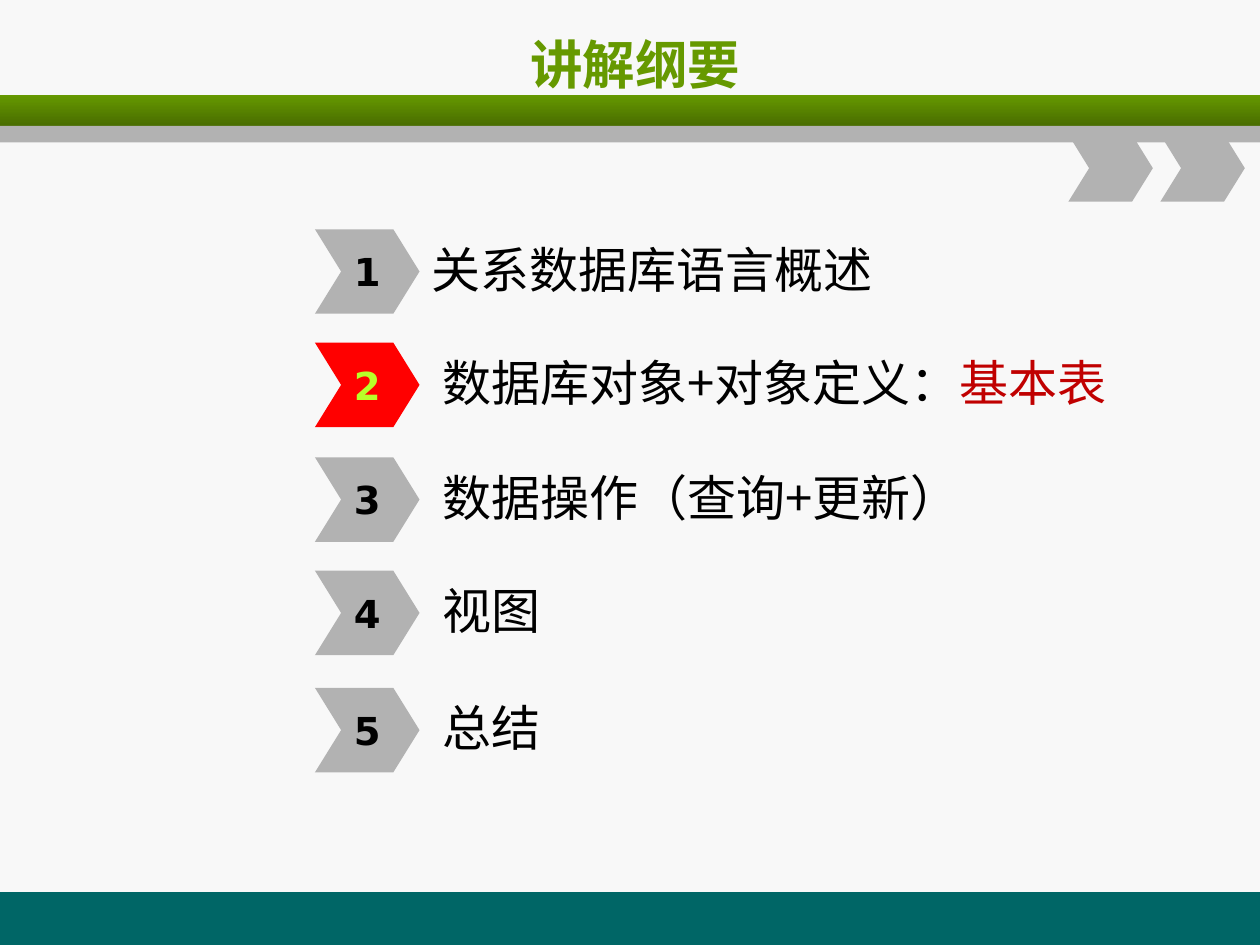
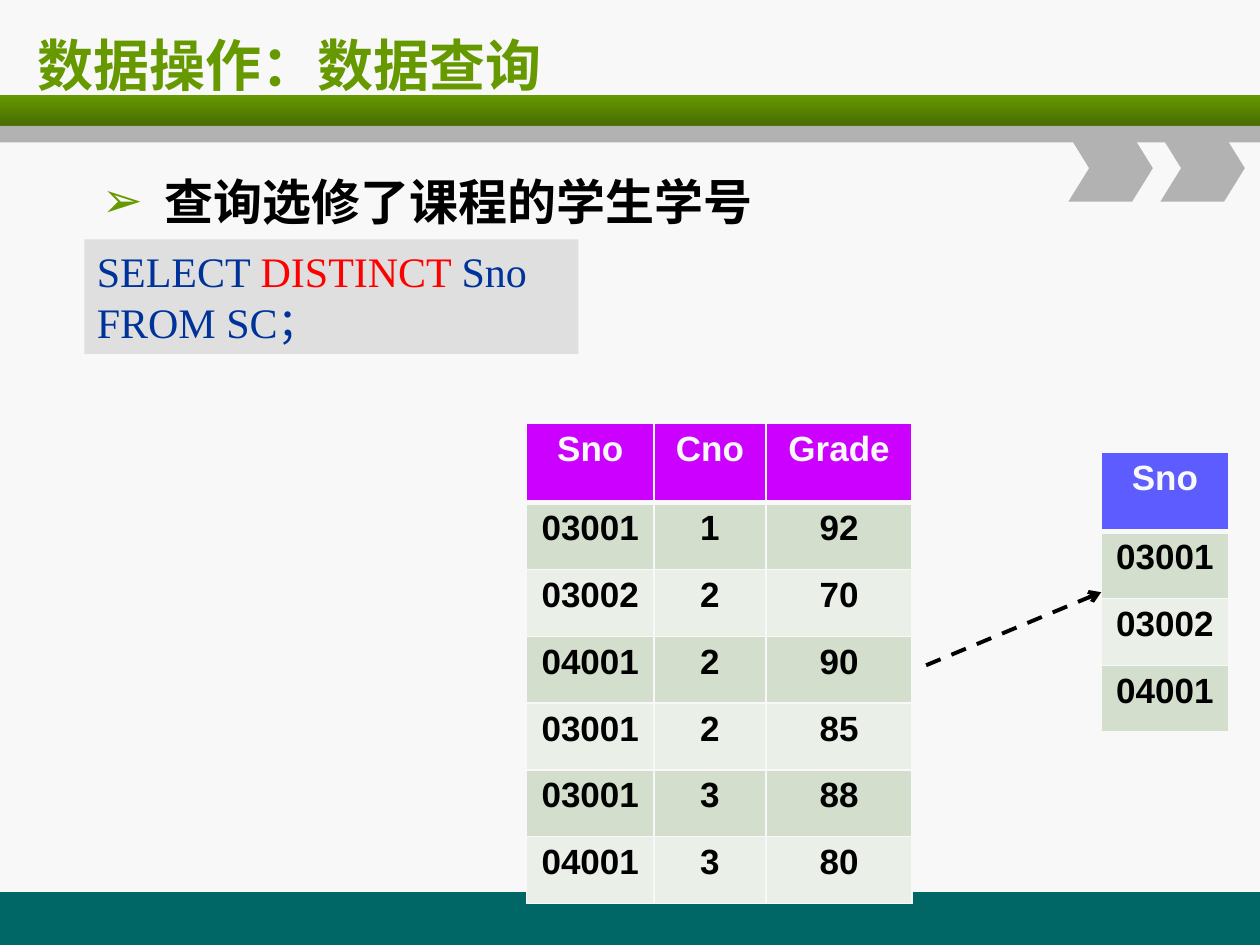
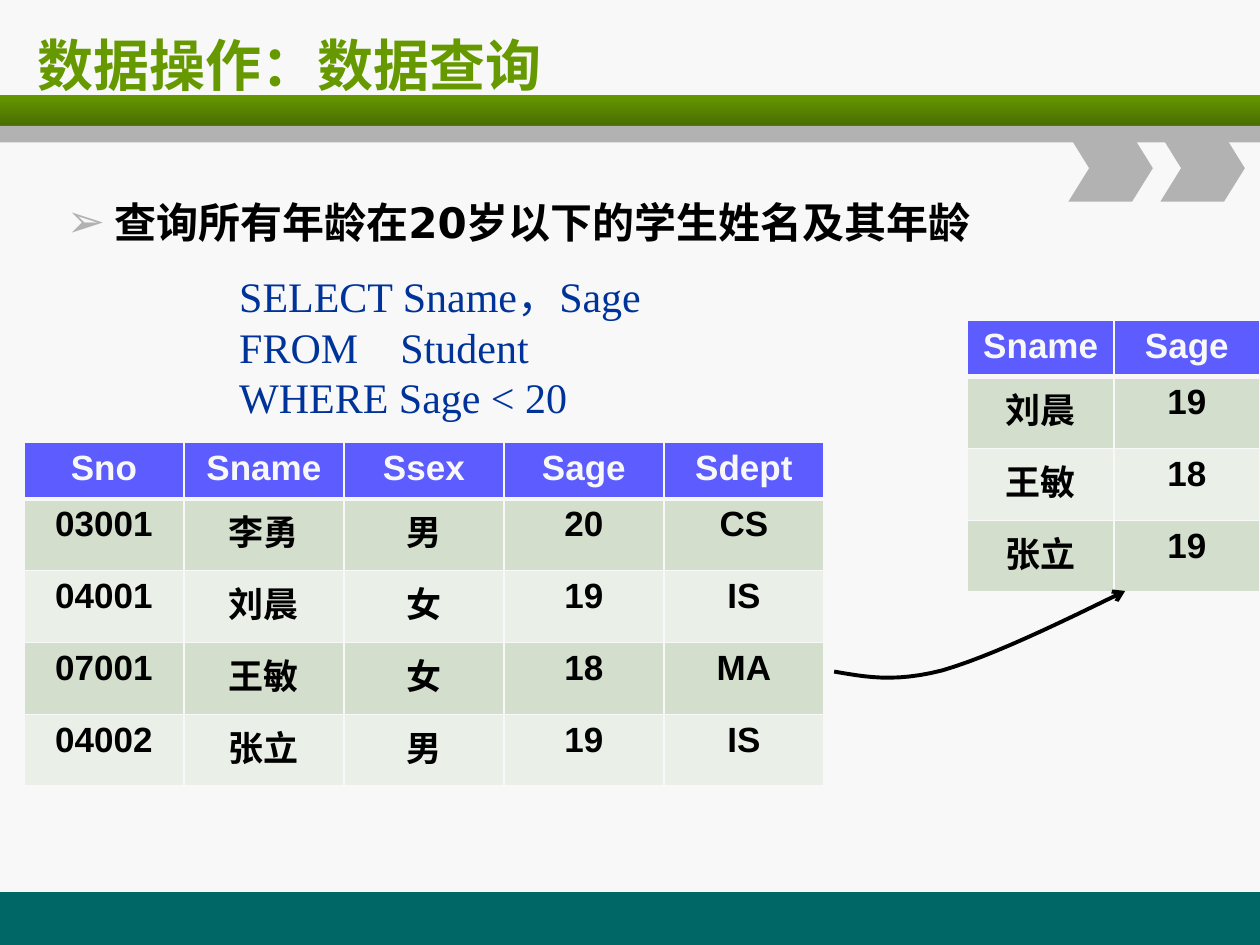
"""Build three database course slides: an agenda and two query examples."""
import lxml.etree
import pptx
import pptx.dml.color
import pptx.enum.dml
import pptx.enum.shapes
import pptx.enum.text
import pptx.oxml.ns
import pptx.util

Inches = pptx.util.Inches
Pt = pptx.util.Pt
qn = pptx.oxml.ns.qn
color = pptx.dml.color.RGBColor.from_string
SubElement = lxml.etree.SubElement
RECTANGLE = pptx.enum.shapes.MSO_SHAPE.RECTANGLE
CHEVRON = pptx.enum.shapes.MSO_SHAPE.CHEVRON
MIDDLE = pptx.enum.text.MSO_ANCHOR.MIDDLE
TOP = pptx.enum.text.MSO_ANCHOR.TOP
LEFT = pptx.enum.text.PP_ALIGN.LEFT
CENTER = pptx.enum.text.PP_ALIGN.CENTER

PAPER, BLACK, GREEN, GRAY, BLUE = "F8F8F8", "000000", "669900", "B2B2B2", "003399"
PURPLE_HEADER, BLUE_HEADER = "CC00FF", "5C5CFF"
BODY_FILLS = ("D3DECC", "EAEFE7")
EAST_ASIAN_FONT = "Noto Sans CJK SC"
FORMATS = {
    "agenda title": {"name": "Noto Sans CJK SC", "size": Pt(30), "bold": True},
    "title": {"name": "DejaVu Sans", "size": Pt(32), "bold": True},
    "agenda": {"name": "Noto Sans CJK SC", "size": Pt(28), "bold": False},
    "number": {"name": "DejaVu Sans", "size": Pt(22), "bold": True},
    "large question": {"name": "Arial", "size": Pt(28), "bold": True},
    "question": {"name": "DejaVu Sans", "size": Pt(24), "bold": True},
    "code": {"name": "Times New Roman", "size": Pt(24), "bold": False},
    "cell": {"name": "Arial", "size": Pt(20), "bold": True},
}


def write_text(text_frame, style, lines, align=LEFT, anchor=TOP, wrap=True):
    """Fill a text frame with lines, each a list of (text, colour) runs."""
    text_frame.word_wrap = wrap
    text_frame.vertical_anchor = anchor
    for index, line in enumerate(lines):
        paragraph = text_frame.add_paragraph() if index else text_frame.paragraphs[0]
        paragraph.alignment = align
        for text, text_color in line:
            run = paragraph.add_run()
            run.text = text
            for attribute, value in FORMATS[style].items():
                setattr(run.font, attribute, value)
            run.font.color.rgb = color(text_color)
            SubElement(run.font._element, qn("a:ea"), typeface=EAST_ASIAN_FONT)


def add_shape(slide, kind, frame, fill):
    """Add a flat shape without outline."""
    shape = slide.shapes.add_shape(kind, *map(Inches, frame))
    shape.shadow.inherit = False
    shape.line.fill.background()
    shape.fill.solid()
    shape.fill.fore_color.rgb = color(fill)
    if kind == CHEVRON:
        shape.adjustments[0] = 0.31
    return shape


presentation = pptx.Presentation()
presentation.slide_width = Inches(10)
presentation.slide_height = Inches(7.5)

TITLES = [
    ("讲解纲要", "agenda title", (0.54, 0.17, 9, 0.67), CENTER),
    ("数据操作：数据查询", "title", (0.2, 0.17, 9.55, 0.67), LEFT),
    ("数据操作：数据查询", "title", (0.2, 0.17, 9.55, 0.67), LEFT),
]
for title, style, frame, align in TITLES:
    slide = presentation.slides.add_slide(presentation.slide_layouts[6])
    slide.background.fill.solid()
    slide.background.fill.fore_color.rgb = color(PAPER)
    add_shape(slide, RECTANGLE, (0, 7.08, 10, 0.42), "006666")
    title_band = add_shape(slide, RECTANGLE, (0, 0.75, 10, 0.25), GREEN)
    title_band.fill.gradient()
    title_band.fill.gradient_angle = 270
    for stop, stop_color in zip(title_band.fill.gradient_stops, (GREEN, "496D00")):
        stop.color.rgb = color(stop_color)
    add_shape(slide, RECTANGLE, (0, 1, 10, 0.13), GRAY)
    for left in (8.48, 9.21):
        add_shape(slide, CHEVRON, (left, 1.07, 0.67, 0.53), GRAY)
    title_box = slide.shapes.add_textbox(*map(Inches, frame))
    write_text(title_box.text_frame, style, [[(title, GREEN)]], align, MIDDLE)

agenda_slide, distinct_slide, filter_slide = presentation.slides

AGENDA = [
    (1.82, [("关系数据库语言概述", BLACK)]),
    (2.72, [(" 数据库对象+对象定义：", BLACK), ("基本表", "C00000")]),
    (3.63, [(" 数据操作（查询+更新）", BLACK)]),
    (4.53, [(" 视图", BLACK)]),
    (5.46, [(" 总结", BLACK)]),
]
CURRENT_TOPIC = 2
for number, (top, topic) in enumerate(AGENDA, 1):
    fill, number_color = ("FF0000", "B8FF29") if number == CURRENT_TOPIC else (GRAY, BLACK)
    marker = add_shape(agenda_slide, CHEVRON, (2.5, top, 0.83, 0.67), fill)
    write_text(marker.text_frame, "number", [[(str(number), number_color)]], CENTER, MIDDLE, False)
    topic_box = agenda_slide.shapes.add_textbox(*map(Inches, (3.33, top + 0.02, 5.92, 0.58)))
    write_text(topic_box.text_frame, "agenda", [topic], anchor=MIDDLE)

QUESTIONS = [
    (distinct_slide, "查询选修了课程的学生学号", "large question",
     (0.21, 1.31, 5.94, 0.57), 1, 0.5, GREEN, 100),
    (filter_slide, "查询所有年龄在20岁以下的学生姓名及其年龄", "question",
     (0.43, 1.51, 8.5, 4.72), 0.38, 0.38, GRAY, 110),
]
for slide, question, style, frame, margin, hanging, bullet_color, bullet_size in QUESTIONS:
    question_box = slide.shapes.add_textbox(*map(Inches, frame))
    write_text(question_box.text_frame, style, [[(question, BLACK)]])
    properties = question_box.text_frame.paragraphs[0]._p.get_or_add_pPr()
    properties.set("marL", str(Inches(margin)))
    properties.set("indent", str(-Inches(hanging)))
    SubElement(SubElement(properties, qn("a:buClr")), qn("a:srgbClr"), val=bullet_color)
    SubElement(properties, qn("a:buSzPct"), val=str(bullet_size * 1000))
    SubElement(properties, qn("a:buFont"), typeface="Arial")
    SubElement(properties, qn("a:buChar"), char="➢")

distinct_query = add_shape(distinct_slide, RECTANGLE, (0.67, 1.9, 3.92, 0.91), "DFDFDF")
write_text(distinct_query.text_frame, "code", [
    [("SELECT ", BLUE), ("DISTINCT ", "FF0000"), ("Sno", BLUE)],
    [("FROM SC；", BLUE)],
])
filter_query = filter_slide.shapes.add_textbox(*map(Inches, (1.8, 2.1, 5.01, 1.62)))
write_text(filter_query.text_frame, "code", [
    [("SELECT Sname，Sage", BLUE)],
    [("FROM\tStudent", BLUE)],
    [("WHERE Sage < 20", BLUE)],
])
tab_list = SubElement(filter_query.text_frame.paragraphs[1]._p.get_or_add_pPr(), qn("a:tabLst"))
SubElement(tab_list, qn("a:tab"), pos=str(Inches(1.28)), algn="l")

TABLES = [
    (distinct_slide, (4.18, 3.36), (1.01, 0.89, 1.16), 0.63, 0.53, PURPLE_HEADER, [
        "Sno Cno Grade", "03001 1 92", "03002 2 70", "04001 2 90",
        "03001 2 85", "03001 3 88", "04001 3 80"]),
    (distinct_slide, (8.74, 3.59), (1.01,), 0.63, 0.53, BLUE_HEADER, [
        "Sno", "03001", "03002", "04001"]),
    (filter_slide, (0.19, 3.51), (1.27,) * 5, 0.45, 0.57, BLUE_HEADER, [
        "Sno Sname Ssex Sage Sdept", "03001 李勇 男 20 CS", "04001 刘晨 女 19 IS",
        "07001 王敏 女 18 MA", "04002 张立 男 19 IS"]),
    (filter_slide, (7.68, 2.54), (1.16,) * 2, 0.45, 0.57, BLUE_HEADER, [
        "Sname Sage", "刘晨 19", "王敏 18", "张立 19"]),
]
for slide, position, widths, header_height, row_height, header_fill, records in TABLES:
    size = (sum(widths), header_height + row_height * (len(records) - 1))
    table = slide.shapes.add_table(
        len(records), len(widths), *map(Inches, position + size)).table
    table.horz_banding = False
    for column, width in zip(table.columns, widths):
        column.width = Inches(width)
    for row_index, record in enumerate(records):
        is_header = row_index == 0
        table.rows[row_index].height = Inches(header_height if is_header else row_height)
        fill = header_fill if is_header else BODY_FILLS[(row_index - 1) % 2]
        borders = {"L": 1, "R": 1, "T": 3 if row_index == 1 else 1, "B": 3 if is_header else 1}
        for column_index, value in enumerate(record.split()):
            cell = table.cell(row_index, column_index)
            properties = cell._tc.get_or_add_tcPr()
            for side, points in borders.items():
                border = SubElement(properties, qn("a:ln" + side), w=str(Pt(points)))
                SubElement(SubElement(border, qn("a:solidFill")), qn("a:srgbClr"), val=PAPER)
            cell.fill.solid()
            cell.fill.fore_color.rgb = color(fill)
            write_text(cell.text_frame, "cell", [[(value, PAPER if is_header else BLACK)]], CENTER)

result_arrow = distinct_slide.shapes.add_connector(
    pptx.enum.shapes.MSO_CONNECTOR.STRAIGHT, *map(Inches, (7.35, 5.28, 8.74, 4.7)))
result_arrow.line.dash_style = pptx.enum.dml.MSO_LINE.DASH

CURVES = [
    ((6.62, 5.33), (6.86, 5.37), (7.09, 5.42), (7.48, 5.32)),
    ((7.48, 5.32), (7.86, 5.21), (8.4, 4.95), (8.93, 4.69)),
]
STEPS = 12
curve_points = []
for curve in CURVES:
    for step in range(1, STEPS + 1):
        t = step / STEPS
        weights = ((1 - t) ** 3, 3 * t * (1 - t) ** 2, 3 * t ** 2 * (1 - t), t ** 3)
        curve_points.append(tuple(
            Inches(sum(weight * point[axis] for weight, point in zip(weights, curve)))
            for axis in (0, 1)))
builder = filter_slide.shapes.build_freeform(*map(Inches, CURVES[0][0]))
builder.add_line_segments(curve_points, close=False)
result_curve = builder.convert_to_shape()
result_curve.fill.background()

for arrow in (result_arrow, result_curve):
    arrow.line.color.rgb = color(BLACK)
    arrow.line.width = Pt(2.25)
    properties = arrow._element.spPr
    SubElement(properties.find(qn("a:ln")), qn("a:tailEnd"), type="arrow")
    SubElement(properties, qn("a:effectLst"))

presentation.save("out.pptx")
